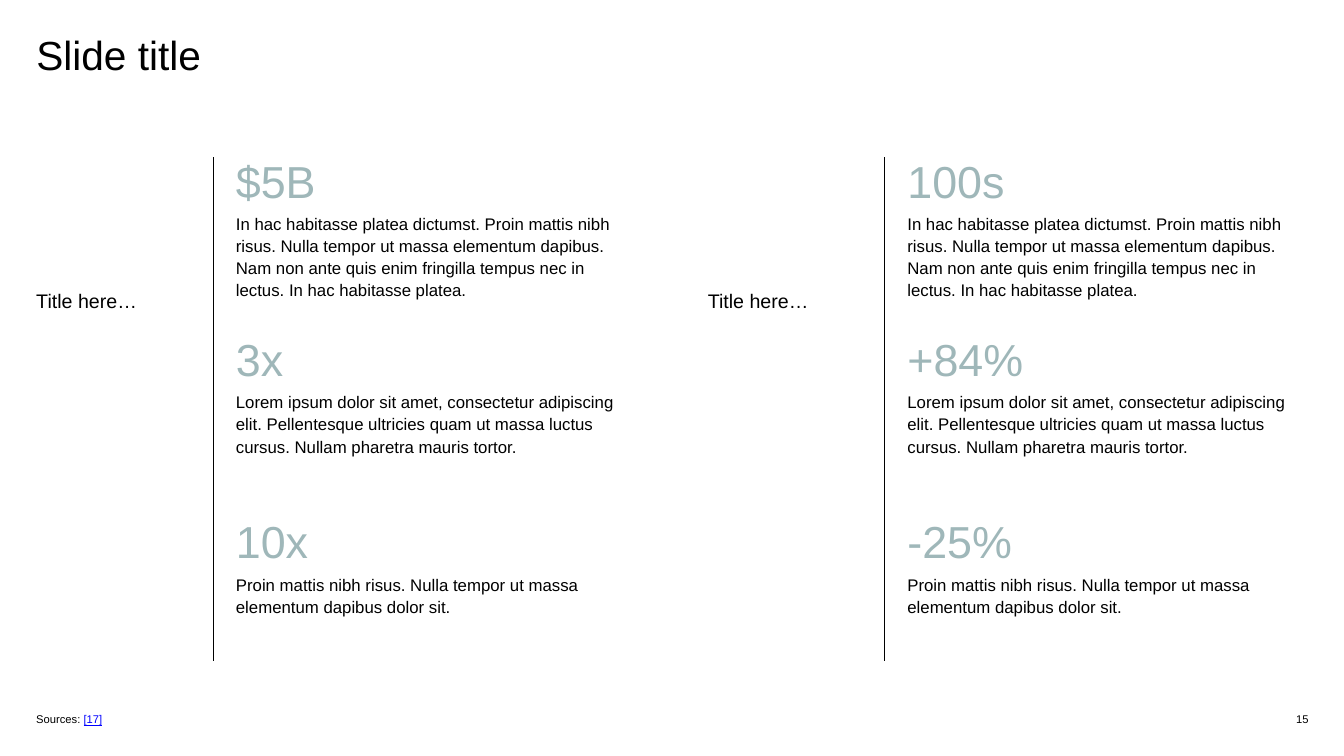
from lxml import etree
from pptx import Presentation
from pptx.dml.color import RGBColor
from pptx.enum.shapes import MSO_CONNECTOR
from pptx.enum.text import MSO_ANCHOR, MSO_AUTO_SIZE, PP_ALIGN
from pptx.oxml.ns import qn
from pptx.util import Inches, Pt

STRAIGHT = MSO_CONNECTOR.STRAIGHT
MIDDLE, BOTTOM = MSO_ANCHOR.MIDDLE, MSO_ANCHOR.BOTTOM
LEFT, RIGHT = PP_ALIGN.LEFT, PP_ALIGN.RIGHT
GROW = MSO_AUTO_SIZE.SHAPE_TO_FIT_TEXT
BLACK, SAGE, BLUE = "000000", "9FB7B9", "0000FF"
FONT = "Arial"

# Top of figure, top of text, height of text, text
ROWS = [
    (1.47, 2.1, 0.89,
     "In hac habitasse platea dictumst. Proin mattis nibh risus. "
     "Nulla tempor ut massa elementum dapibus. Nam non ante quis enim "
     "fringilla tempus nec in lectus. In hac habitasse platea."),
    (3.24, 3.87, 0.67,
     "Lorem ipsum dolor sit amet, consectetur adipiscing elit. "
     "Pellentesque ultricies quam ut massa luctus cursus. "
     "Nullam pharetra mauris tortor."),
    (5.04, 5.68, 0.44,
     "Proin mattis nibh risus. Nulla tempor ut massa elementum "
     "dapibus dolor sit."),
]
# Left edges of label, rule and text, then the figures
PANELS = [
    (0.36, 2.12, 2.34, ["$5B", "3x", "10x"]),
    (7.02, 8.77, 9, ["100s", "+84%", "-25%"]),
]


def rgb(code):
    return RGBColor.from_string(code)


def add_text(slide, box, text, size, color=BLACK, spacing=None, align=LEFT):
    shape = slide.shapes.add_textbox(*map(Inches, box))
    frame = shape.text_frame
    frame.word_wrap = True
    frame.auto_size = GROW
    frame.margin_left = frame.margin_right = 0
    frame.margin_top = frame.margin_bottom = 0
    para = frame.paragraphs[0]
    para.text = text
    para.alignment = align
    if spacing:
        para.line_spacing = spacing
    para.font.name = FONT
    para.font.size = Pt(size)
    para.font.color.rgb = rgb(color)
    return frame


def add_rule(slide, left, top, bottom):
    x = Inches(left)
    rule = slide.shapes.add_connector(
        STRAIGHT, x, Inches(top), x, Inches(bottom))
    rule.line.color.rgb = rgb(BLACK)
    rule.line.width = Pt(0.75)
    etree.SubElement(rule._element.spPr, qn("a:effectLst"))


def add_panel(slide, label, rule, left, figures):
    add_text(slide, (label, 2.87, 2.43, 0.24), "Title here…", 14)
    add_rule(slide, rule, 1.56, 6.56)
    for figure, (top, below, height, text) in zip(figures, ROWS):
        add_text(slide, (left, top, 3.96, 0.59), figure, 32, SAGE, 1.1)
        add_text(slide, (left, below, 3.96, height), text, 12, spacing=1.1)


def add_footer(slide):
    # Sources
    frame = add_text(slide, (0.26, 7.01, 6.17, 0.24), "Sources: ", 8)
    frame.vertical_anchor = BOTTOM
    frame.margin_left = frame.margin_right = Inches(0.1)
    frame.margin_top = frame.margin_bottom = Inches(0.05)
    ref = frame.paragraphs[0].add_run()
    ref.text = "[17]"
    ref.font.color.rgb = rgb(BLUE)
    ref.font.underline = True

    # Page number
    page = add_text(slide, (12.6, 7.04, 0.38, 0.18), "15", 8, align=RIGHT)
    page.auto_size = MSO_AUTO_SIZE.NONE
    page.vertical_anchor = MIDDLE


def main():
    deck = Presentation()
    deck.slide_width, deck.slide_height = Inches(13.33), Inches(7.5)
    slide = deck.slides.add_slide(deck.slide_layouts[6])
    add_text(slide, (0.36, 0.3, 12.61, 0.49), "Slide title", 29)
    for panel in PANELS:
        add_panel(slide, *panel)
    add_footer(slide)
    deck.save("out.pptx")


if __name__ == "__main__":
    main()
